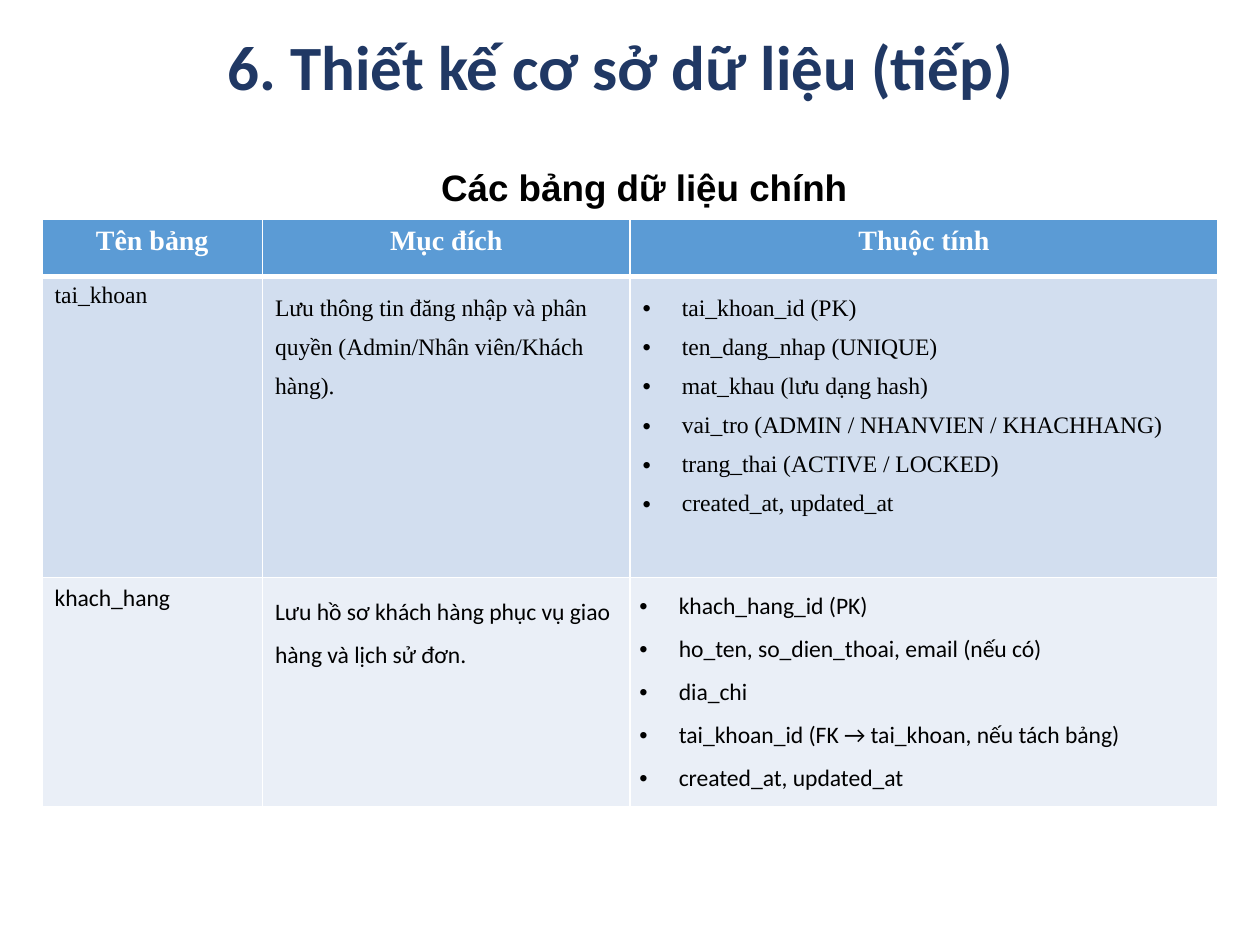
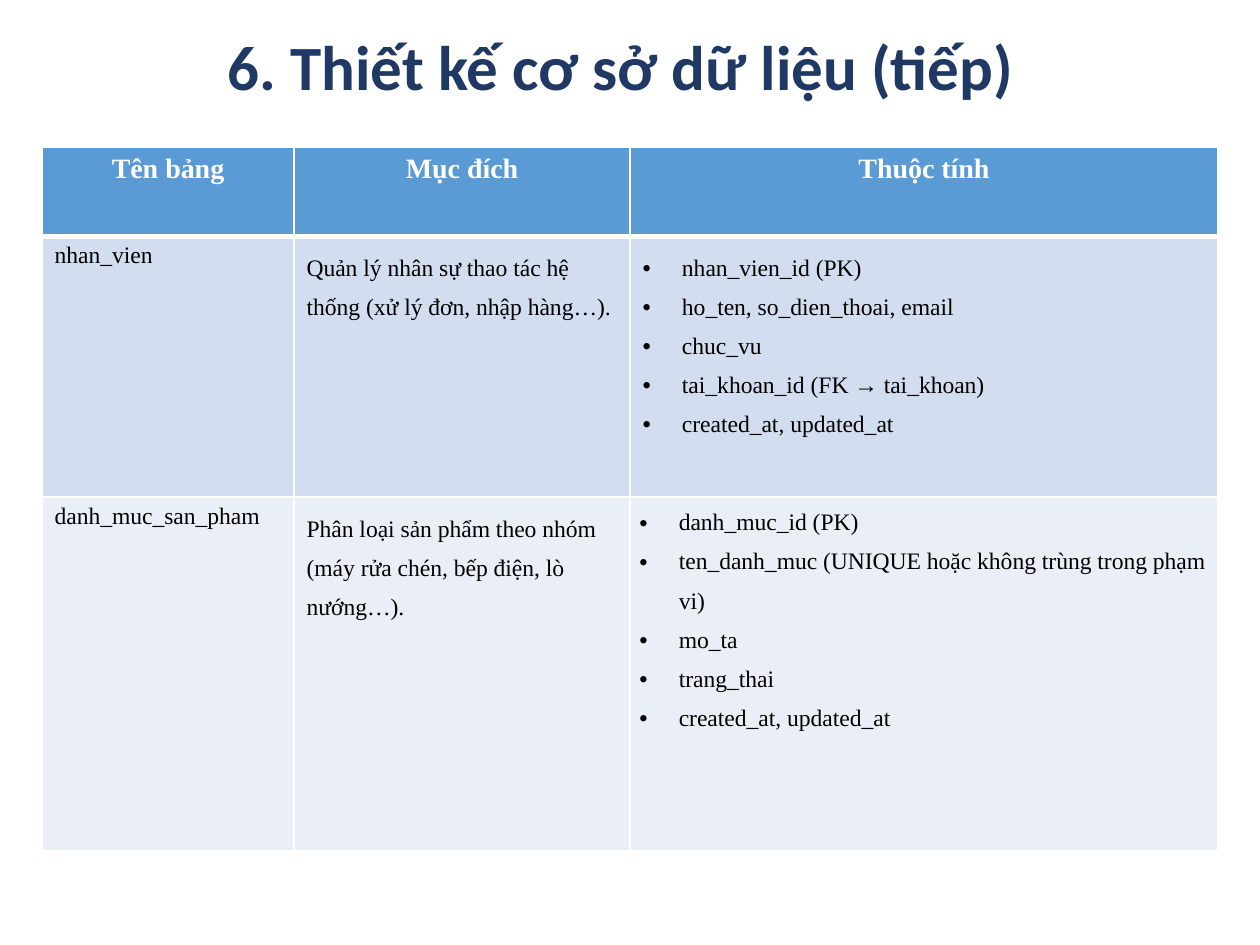
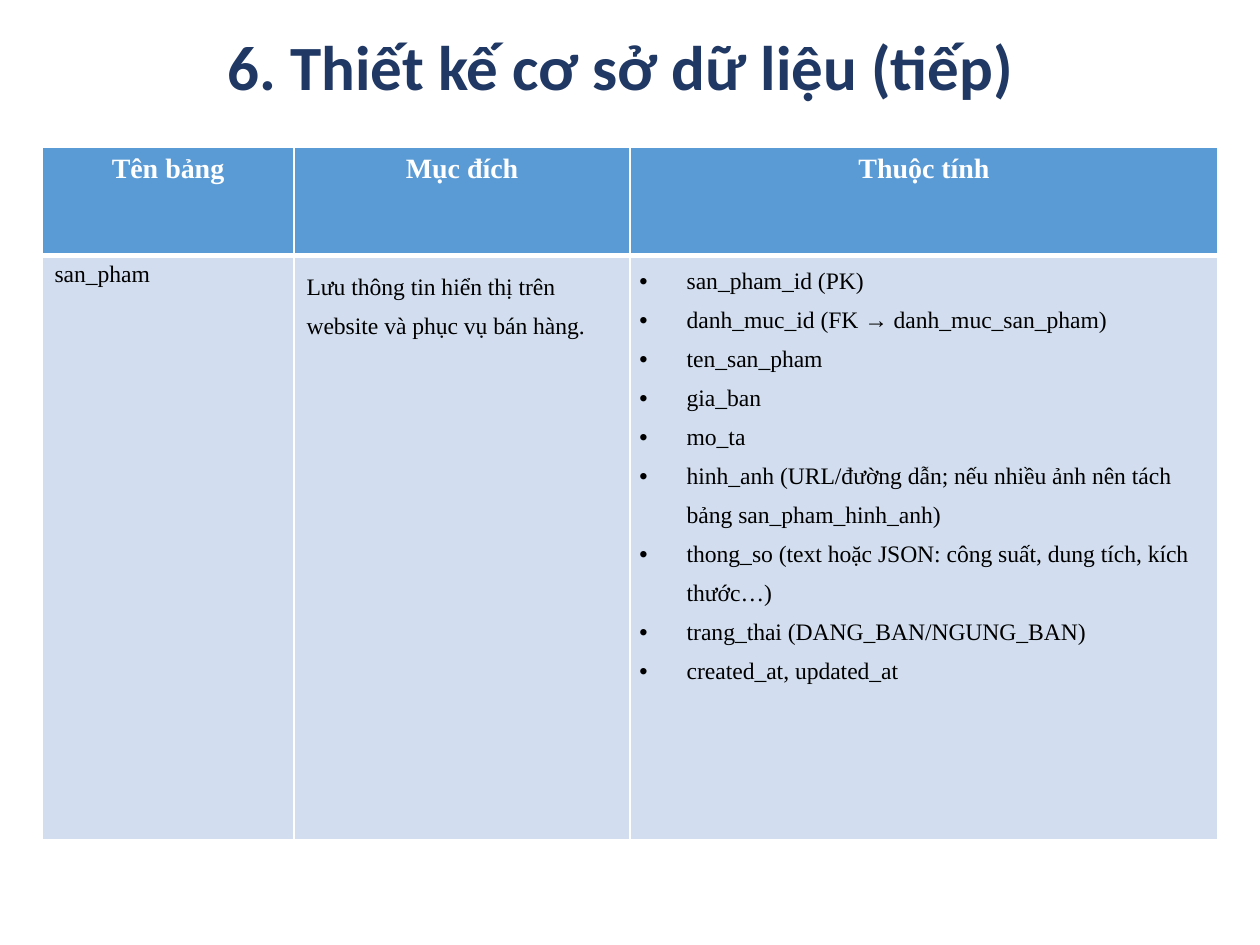
from dataclasses import dataclass
from typing import Any

from lxml import etree
from pptx import Presentation
from pptx import util as u
from pptx.dml import color as c
from pptx.enum import text as t
from pptx.oxml import ns

Pt = u.Pt


# Theme
@dataclass(frozen=True)
class Theme:
    navy: str = "203864"
    black: str = "000000"
    white: str = "FFFFFF"
    header: str = "5B9BD5"
    bands: tuple[str, str] = ("D2DEEF", "EAEFF7")
    sans: str = "Calibri"
    serif: str = "Times New Roman"
    heading: str = "Arial"
    title_size: float = 36
    subtitle_size: float = 21
    header_size: float = 16
    body_size: float = 13.5
    thin: float = 1
    thick: float = 3


THEME = Theme()
TITLE = "6. Thiết kế cơ sở dữ liệu (tiếp)"
HEADERS = ("Tên bảng", "Mục đích", "Thuộc tính")
TABLE_LEFT = 24


# Content records
@dataclass(frozen=True)
class Entity:
    name: str
    purpose: str
    attributes: tuple[str, ...]
    height: float
    font: str = THEME.serif
    tight: bool = False
    indent: float = 22.5


@dataclass(frozen=True)
class Page:
    top: float
    columns: tuple[float, float, float]
    header_height: float
    entities: tuple[Entity, ...]
    subtitle: str = ""


WIDE_PURPOSE = (126, 210, 336)
WIDE_NAME = (144, 192, 336)

PAGES = (
    Page(125, WIDE_PURPOSE, 33, (
        Entity("tai_khoan",
               "Lưu thông tin đăng nhập và phân quyền (Admin/Nhân viên/Khách hàng).",
               ("tai_khoan_id (PK)", "ten_dang_nhap (UNIQUE)",
                "mat_khau (lưu dạng hash)",
                "vai_tro (ADMIN / NHANVIEN / KHACHHANG)",
                "trang_thai (ACTIVE / LOCKED)", "created_at, updated_at"),
               172),
        Entity("khach_hang",
               "Lưu hồ sơ khách hàng phục vụ giao hàng và lịch sử đơn.",
               ("khach_hang_id (PK)", "ho_ten, so_dien_thoai, email (nếu có)",
                "dia_chi", "tai_khoan_id (FK → tai_khoan, nếu tách bảng)",
                "created_at, updated_at"),
               131, font=THEME.sans, tight=True),
    ), subtitle="Các bảng dữ liệu chính"),
    Page(84, WIDE_NAME, 51, (
        Entity("nhan_vien",
               "Quản lý nhân sự thao tác hệ thống (xử lý đơn, nhập hàng…).",
               ("nhan_vien_id (PK)", "ho_ten, so_dien_thoai, email", "chuc_vu",
                "tai_khoan_id (FK → tai_khoan)", "created_at, updated_at"),
               149),
        Entity("danh_muc_san_pham",
               "Phân loại sản phẩm theo nhóm (máy rửa chén, bếp điện, lò nướng…).",
               ("danh_muc_id (PK)",
                "ten_danh_muc (UNIQUE hoặc không trùng trong phạm vi)",
                "mo_ta", "trang_thai", "created_at, updated_at"),
               202, tight=True),
    )),
    Page(84, WIDE_NAME, 62, (
        Entity("san_pham",
               "Lưu thông tin hiển thị trên website và phục vụ bán hàng.",
               ("san_pham_id (PK)", "danh_muc_id (FK → danh_muc_san_pham)",
                "ten_san_pham", "gia_ban", "mo_ta",
                "hinh_anh (URL/đường dẫn; nếu nhiều ảnh nên tách bảng san_pham_hinh_anh)",
                "thong_so (text hoặc JSON: công suất, dung tích, kích thước…)",
                "trang_thai (DANG_BAN/NGUNG_BAN)", "created_at, updated_at"),
               334, tight=True, indent=27),
    )),
)


# Text and cell helpers
def write(tf: Any, *lines: str, size: float = THEME.body_size,
          font: str = THEME.serif, color: str = THEME.black,
          bold: bool = False, align: Any = None, spacing: float = 1.0,
          after: float = 0, first_line: float = 0, bullet: float = 0) -> None:
    """Write one paragraph per line; bullet is the hanging indent."""
    for i, line in enumerate(lines):
        p = tf.add_paragraph() if i else tf.paragraphs[0]
        pPr = p._p.get_or_add_pPr()
        if bullet:
            pPr.set("marL", str(Pt(bullet)))
            pPr.set("indent", str(-Pt(bullet)))
            etree.SubElement(pPr, ns.qn("a:buFont"), typeface="Arial")
            etree.SubElement(pPr, ns.qn("a:buChar"), char="•")
        elif first_line:
            pPr.set("indent", str(Pt(first_line)))
        p.alignment = align
        p.line_spacing = spacing
        if after:
            p.space_after = Pt(after)
        r = p.add_run()
        r.text = line
        r.font.size = Pt(size)
        r.font.name = font
        r.font.bold = bold
        r.font.color.rgb = c.RGBColor.from_string(color)


def add_text_box(s: Any, left: float, top: float, width: float,
                 height: float) -> Any:
    tf = s.shapes.add_textbox(Pt(left), Pt(top), Pt(width), Pt(height)).text_frame
    tf.word_wrap = True
    return tf


def style_cell(cell: Any, fill: str, top: float, bottom: float) -> None:
    cell.fill.solid()
    cell.fill.fore_color.rgb = c.RGBColor.from_string(fill)
    tcPr = cell._tc.get_or_add_tcPr()
    widths = {"lnL": THEME.thin, "lnR": THEME.thin, "lnT": top, "lnB": bottom}
    for i, (side, width) in enumerate(widths.items()):
        ln = etree.Element(ns.qn(f"a:{side}"), w=str(Pt(width)))
        solid = etree.SubElement(ln, ns.qn("a:solidFill"))
        etree.SubElement(solid, ns.qn("a:srgbClr"), val=THEME.white)
        tcPr.insert(i, ln)


# Slide parts
def add_title(s: Any) -> None:
    tf = add_text_box(s, 123, 22, 474, 36)
    tf.vertical_anchor = t.MSO_ANCHOR.MIDDLE
    write(tf, TITLE, size=THEME.title_size, font=THEME.sans,
          color=THEME.navy, bold=True, spacing=0.9)


def add_subtitle(s: Any, subtitle: str) -> None:
    tf = add_text_box(s, 209, 78, 303, 41)
    write(tf, subtitle, size=THEME.subtitle_size, font=THEME.heading, bold=True,
          align=t.PP_ALIGN.JUSTIFY, spacing=1.5, after=6, first_line=36)


def add_entity_table(s: Any, page: Page) -> None:
    heights = [page.header_height] + [e.height for e in page.entities]
    table = s.shapes.add_table(
        len(heights), len(HEADERS), Pt(TABLE_LEFT), Pt(page.top),
        Pt(sum(page.columns)), Pt(sum(heights))).table
    for column, width in zip(table.columns, page.columns):
        column.width = Pt(width)
    for row, height in zip(table.rows, heights):
        row.height = Pt(height)

    for col, header in enumerate(HEADERS):
        cell = table.cell(0, col)
        style_cell(cell, THEME.header, THEME.thin, THEME.thick)
        write(cell.text_frame, header, size=THEME.header_size,
              color=THEME.white, bold=True, align=t.PP_ALIGN.CENTER)

    for row, entity in enumerate(page.entities, start=1):
        cells = [table.cell(row, col) for col in range(len(HEADERS))]
        for cell in cells:
            style_cell(cell, THEME.bands[(row - 1) % 2],
                       THEME.thick if row == 1 else THEME.thin, THEME.thin)
        name, purpose, attributes = cells
        write(name.text_frame, entity.name, font=entity.font)
        write(purpose.text_frame, entity.purpose, font=entity.font, spacing=1.5)
        if entity.tight:
            attributes.margin_left = attributes.margin_right = Pt(5.4)
            attributes.margin_top = attributes.margin_bottom = Pt(0)
        write(attributes.text_frame, *entity.attributes, font=entity.font,
              spacing=1.5, bullet=entity.indent)


def main() -> None:
    prs = Presentation()
    prs.slide_width, prs.slide_height = Pt(720), Pt(540)
    for page in PAGES:
        s = prs.slides.add_slide(prs.slide_layouts[6])
        add_title(s)
        if page.subtitle:
            add_subtitle(s, page.subtitle)
        add_entity_table(s, page)
    prs.save("out.pptx")


if __name__ == "__main__":
    main()
